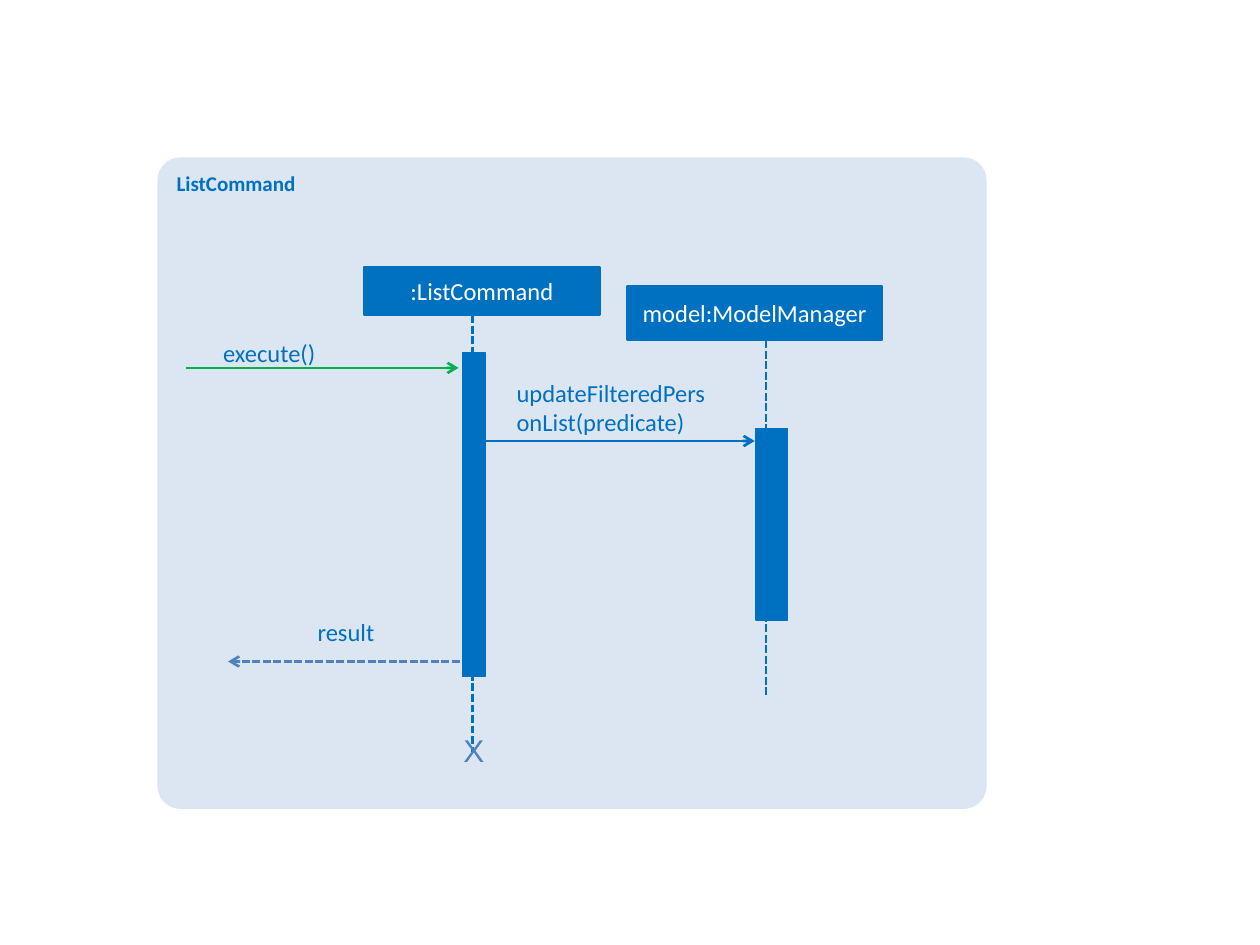
from dataclasses import dataclass

from lxml.etree import SubElement
from pptx import Presentation
from pptx.dml.color import RGBColor
from pptx.enum.dml import MSO_LINE
from pptx.enum.shapes import MSO_CONNECTOR, MSO_SHAPE
from pptx.enum.text import MSO_ANCHOR, PP_ALIGN
from pptx.oxml.ns import qn
from pptx.util import Inches, Pt

BLUE, STEEL, GREEN = "0070C0", "4F81BD", "00B050"
PANEL, WHITE = "DCE6F2", "FFFFFF"


@dataclass
class Box:
    left: float
    top: float
    width: float
    height: float

    def lengths(self):
        return [Inches(v) for v in (self.left, self.top, self.width, self.height)]


@dataclass
class Participant:
    name: str
    header: Box
    activation: Box
    line_x: float
    line_top: float
    line_end: float


@dataclass
class Message:
    text: str
    label: Box
    start: float
    end: float
    y: float
    color: str = BLUE
    dashed: bool = False


PARTICIPANTS = [
    Participant(":ListCommand", Box(2.89, 2.12, 1.87, 0.38),
                Box(3.67, 2.8, 0.18, 2.57), 3.75, 2.42, 5.97),
    Participant("model:ModelManager", Box(4.98, 2.27, 2.02, 0.43),
                Box(6, 3.4, 0.25, 1.52), 6.08, 2.7, 5.53),
]
MESSAGES = [
    Message("execute()", Box(1.77, 2.68, 0.82, 0.24), 1.48, 3.64, 2.92, GREEN),
    Message("updateFilteredPersonList(predicate)", Box(4.1, 3, 1.57, 0.47),
            3.85, 5.99, 3.5),
    Message("result", Box(2.52, 4.9, 0.82, 0.24), 3.65, 1.81, 5.25, STEEL, True),
]


def rgb(color: str) -> RGBColor:
    return RGBColor.from_string(color)


def write(sp, text: str, size=14, color=BLUE, font="Calibri", bold=False,
          align=PP_ALIGN.LEFT, anchor=MSO_ANCHOR.TOP, inset=None) -> None:
    tf = sp.text_frame
    tf.word_wrap = True
    tf.vertical_anchor = anchor
    if inset is not None:
        tf.margin_left = tf.margin_right = Inches(inset)
        tf.margin_top = tf.margin_bottom = Inches(inset)
    p = tf.paragraphs[0]
    p.alignment = align
    r = p.add_run()
    r.text = text
    r.font.name, r.font.size, r.font.bold = font, Pt(size), bold
    r.font.color.rgb = rgb(color)


def add_block(slide, box: Box, fill=BLUE, line_width=0.0,
              kind=MSO_SHAPE.RECTANGLE):
    sp = slide.shapes.add_shape(kind, *box.lengths())
    sp.shadow.inherit = False
    sp.fill.solid()
    sp.fill.fore_color.rgb = rgb(fill)
    if line_width:
        sp.line.color.rgb = rgb(fill)
        sp.line.width = Pt(line_width)
    else:
        sp.line.fill.background()
    return sp


def add_label(slide, box: Box, text: str, **style) -> None:
    write(slide.shapes.add_textbox(*box.lengths()), text, **style)


def add_line(slide, x1: float, y1: float, x2: float, y2: float,
             color=BLUE, dashed=False, arrow=False) -> None:
    line = slide.shapes.add_connector(
        MSO_CONNECTOR.STRAIGHT, Inches(x1), Inches(y1), Inches(x2), Inches(y2))
    line.line.color.rgb = rgb(color)
    line.line.width = Pt(1.5)
    if dashed:
        line.line.dash_style = MSO_LINE.SQUARE_DOT
    if arrow:
        SubElement(line.line._get_or_add_ln(), qn("a:tailEnd"), type="arrow")
    SubElement(line._element.spPr, qn("a:effectLst"))


def add_participant(slide, item: Participant) -> None:
    header = add_block(slide, item.header, line_width=1.5)
    write(header, item.name, color=WHITE, align=PP_ALIGN.CENTER,
          anchor=MSO_ANCHOR.MIDDLE)
    add_line(slide, item.line_x, item.line_top, item.line_x, item.line_end,
             dashed=True)
    add_block(slide, item.activation, line_width=0.75)


def add_message(slide, msg: Message) -> None:
    add_line(slide, msg.start, msg.y, msg.end, msg.y, msg.color, msg.dashed,
             arrow=True)
    add_label(slide, msg.label, msg.text, inset=0)


def main() -> None:
    prs = Presentation()
    prs.slide_width, prs.slide_height = Inches(10), Inches(7.5)
    slide = prs.slides.add_slide(prs.slide_layouts[6])

    frame = add_block(slide, Box(1.25, 1.25, 6.58, 5.17), PANEL,
                      kind=MSO_SHAPE.ROUNDED_RECTANGLE)
    frame.adjustments[0] = 0.035
    write(frame, "ListCommand", size=12, bold=True)

    for item in PARTICIPANTS:
        add_participant(slide, item)
    for msg in MESSAGES:
        add_message(slide, msg)
    add_label(slide, Box(3.58, 5.75, 0.4, 0.4), "X", size=18, color=STEEL,
              font="Arial")
    prs.save("out.pptx")


if __name__ == "__main__":
    main()
